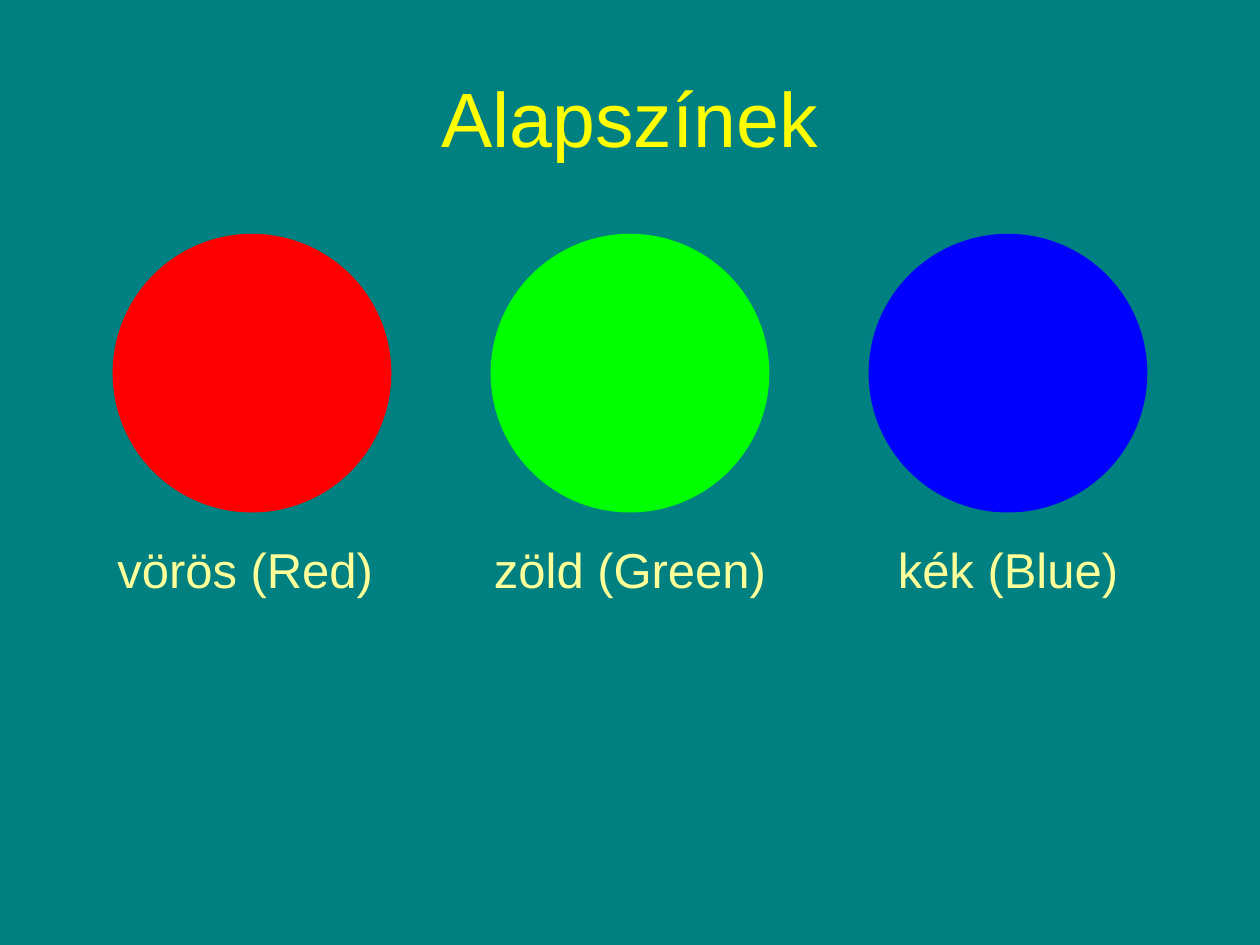
import pptx
import pptx.dml.color
import pptx.enum.shapes
import pptx.enum.text
import pptx.util

Pt = pptx.util.Pt
RGB = pptx.dml.color.RGBColor.from_string

THEME = {
    "background": RGB("008080"),
    "title": {"name": "Arial", "size": Pt(44), "color": RGB("FFFF00")},
    "label": {"name": "Arial", "size": Pt(28), "color": RGB("FFFF99")},
}
PRIMARIES = [
    ("vörös (Red) ", RGB("FF0000")),
    ("zöld (Green)", RGB("00FF00")),
    ("kék (Blue)", RGB("0000FF")),
]
MARGIN, COLUMN_WIDTH, DIAMETER = 36, 216, 158.5


def add_text(slide, text, box, style, anchor):
    shape = slide.shapes.add_textbox(*[Pt(length) for length in box])
    frame = shape.text_frame
    frame.word_wrap = True
    frame.vertical_anchor = anchor
    paragraph = frame.paragraphs[0]
    paragraph.text = text
    paragraph.alignment = pptx.enum.text.PP_ALIGN.CENTER
    font = paragraph.runs[0].font
    for attribute, value in style.items():
        if attribute == "color":
            font.color.rgb = value
        else:
            setattr(font, attribute, value)


presentation = pptx.Presentation()
presentation.slide_width, presentation.slide_height = Pt(720), Pt(540)
slide = presentation.slides.add_slide(presentation.slide_layouts[6])
slide.background.fill.solid()
slide.background.fill.fore_color.rgb = THEME["background"]

# Title
add_text(slide, "Alapszínek", (MARGIN, 21.6, 3 * COLUMN_WIDTH, 90),
         THEME["title"], pptx.enum.text.MSO_ANCHOR.MIDDLE)

# One column for each primary colour: label below, circle centred above
for column, (name, color) in enumerate(PRIMARIES):
    left = MARGIN + column * COLUMN_WIDTH
    add_text(slide, name, (left, 304.5, COLUMN_WIDTH, 178),
             THEME["label"], pptx.enum.text.MSO_ANCHOR.TOP)

    circle = slide.shapes.add_shape(
        pptx.enum.shapes.MSO_SHAPE.OVAL,
        Pt(left + (COLUMN_WIDTH - DIAMETER) / 2), Pt(134),
        Pt(DIAMETER), Pt(DIAMETER))
    circle.shadow.inherit = False
    circle.fill.solid()
    circle.fill.fore_color.rgb = color
    circle.line.color.rgb = color
    circle.line.width = Pt(0.75)

presentation.save("out.pptx")
